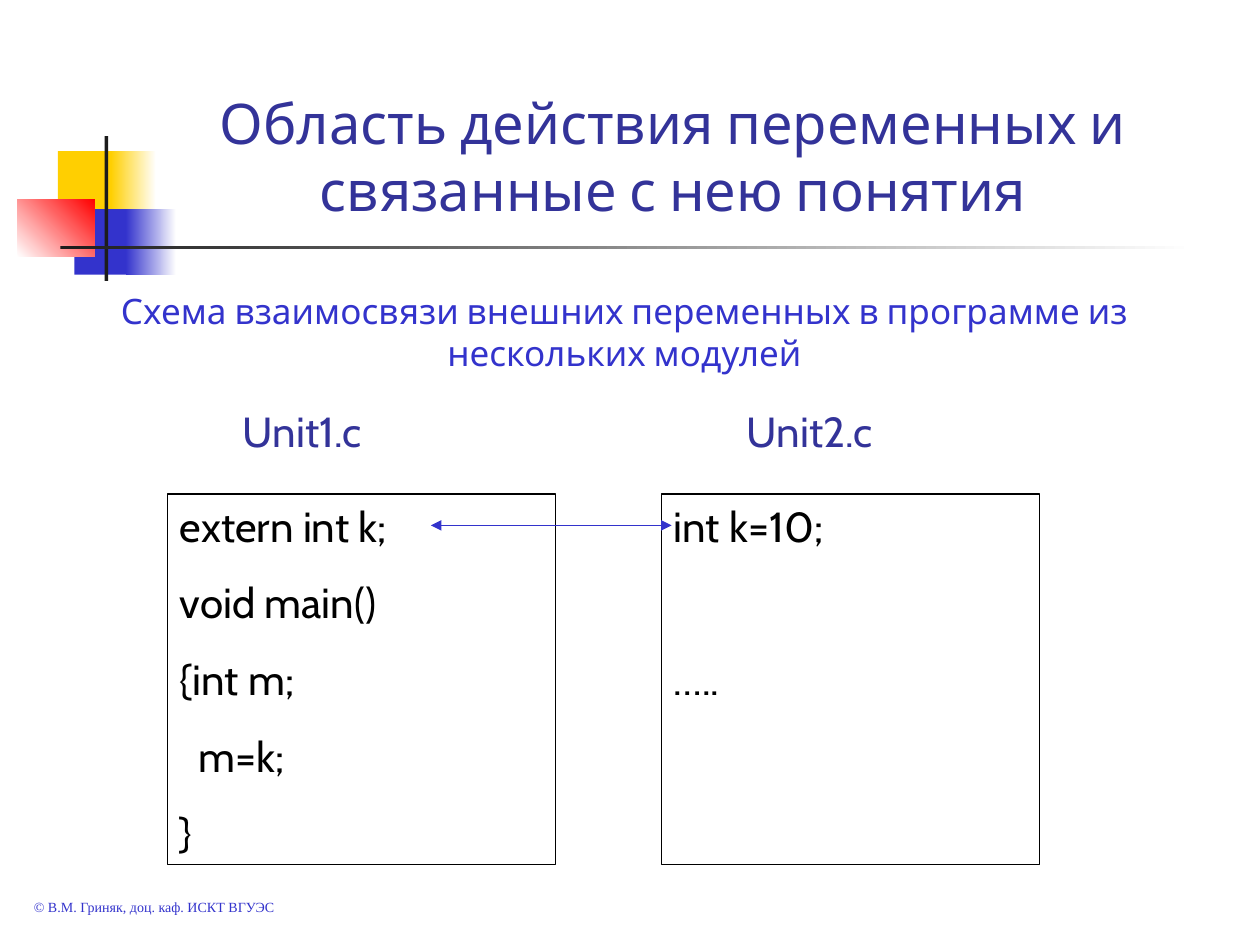
"""Build a slide showing how an external variable links two C modules."""
from dataclasses import dataclass

import pptx
import pptx.dml.color
import pptx.enum.shapes
import pptx.enum.text
import pptx.oxml
import pptx.oxml.ns
import pptx.util
from pptx.util import Inches

RGBColor = pptx.dml.color.RGBColor
PP_ALIGN = pptx.enum.text.PP_ALIGN
MSO_ANCHOR = pptx.enum.text.MSO_ANCHOR
RECTANGLE = pptx.enum.shapes.MSO_SHAPE.RECTANGLE

WHITE = RGBColor(0xFF, 0xFF, 0xFF)
BLACK = RGBColor(0x00, 0x00, 0x00)
YELLOW = RGBColor(0xFF, 0xCF, 0x01)
RED = RGBColor(0xFF, 0x00, 0x00)
BLUE = RGBColor(0x33, 0x33, 0xCC)
INDIGO = RGBColor(0x33, 0x33, 0x99)
CHARCOAL = RGBColor(0x1C, 0x1C, 0x1C)
LINE_WIDTH = pptx.util.Pt(0.74)


@dataclass
class Box:
    left: float
    top: float
    width: float
    height: float

    def emu(self) -> tuple:
        return tuple(Inches(v) for v in (self.left, self.top, self.width, self.height))


@dataclass
class Ornament:
    box: Box
    start: RGBColor
    end: RGBColor | None = None
    angle: float = 0


@dataclass
class Line:
    text: str
    before: float = 15
    indent: float = 0


@dataclass
class Style:
    size: float
    color: RGBColor
    font: str = "Cabin"
    align: PP_ALIGN = PP_ALIGN.LEFT
    anchor: MSO_ANCHOR = MSO_ANCHOR.TOP


@dataclass
class Module:
    name: str
    label_left: float
    box: Box
    code: list[Line]


ORNAMENTS = [
    Ornament(Box(0.46, 1.2, 0.48, 0.52), YELLOW),
    Ornament(Box(0.88, 1.2, 0.36, 0.52), YELLOW, WHITE),
    Ornament(Box(0.59, 1.66, 0.46, 0.52), BLUE),
    Ornament(Box(1, 1.66, 0.4, 0.52), BLUE, WHITE),
    Ornament(Box(0.14, 1.58, 0.61, 0.46), WHITE, RED, 45),
    Ornament(Box(0.83, 1.08, 0.03, 1.15), CHARCOAL),
    Ornament(Box(0.48, 1.95, 9, 0.03), CHARCOAL, WHITE),
]

MODULES = [
    Module("Unit2.c", 5.83, Box(5.25, 3.92, 3, 2.94),
           [Line("int k=10;"), Line("…..", before=59)]),
    Module("Unit1.c", 1.83, Box(1.33, 3.92, 3.08, 2.94),
           [Line("extern int k;"), Line("void main()"), Line("{int m;"),
            Line("m=k;", indent=0.15), Line("}")]),
]

TITLE = Style(32, INDIGO, align=PP_ALIGN.CENTER, anchor=MSO_ANCHOR.BOTTOM)
SUBTITLE = Style(20, BLUE, align=PP_ALIGN.CENTER)
LABEL = Style(24, INDIGO)
CODE = Style(24, BLACK)
FOOTER = Style(8, BLUE, "Times New Roman")


def add_rect(slide, box: Box):
    sp = slide.shapes.add_shape(RECTANGLE, *box.emu())
    sp.shadow.inherit = False
    return sp


def add_ornament(slide, item: Ornament) -> None:
    sp = add_rect(slide, item.box)
    sp.line.fill.background()
    if item.end is None:
        sp.fill.solid()
        sp.fill.fore_color.rgb = item.start
        return
    sp.fill.gradient()
    sp.fill.gradient_angle = item.angle
    for stop, color in zip(sp.fill.gradient_stops, (item.start, item.end)):
        stop.color.rgb = color


def write(sp, lines: list[Line], style: Style) -> None:
    tf = sp.text_frame
    tf.word_wrap = True
    tf.vertical_anchor = style.anchor
    for i, line in enumerate(lines):
        p = tf.add_paragraph() if i else tf.paragraphs[0]
        p.alignment = style.align
        p.space_before = pptx.util.Pt(line.before)
        if line.indent:
            p._p.get_or_add_pPr().set("marL", str(Inches(line.indent)))
        r = p.add_run()
        r.text = line.text
        r.font.size = pptx.util.Pt(style.size)
        r.font.name = style.font
        r.font.color.rgb = style.color


def add_text(slide, box: Box, line: Line, style: Style) -> None:
    write(slide.shapes.add_textbox(*box.emu()), [line], style)


def add_module(slide, module: Module) -> None:
    sp = add_rect(slide, module.box)
    sp.fill.background()
    sp.line.color.rgb = BLACK
    sp.line.width = LINE_WIDTH
    write(sp, module.code, CODE)
    add_text(slide, Box(module.label_left, 3.17, 1.58, 0.5), Line(module.name), LABEL)


def add_double_arrow(slide, left: float, right: float, y: float) -> None:
    cxn = slide.shapes.add_connector(
        pptx.enum.shapes.MSO_CONNECTOR.STRAIGHT,
        Inches(right), Inches(y), Inches(left), Inches(y))
    cxn.line.color.rgb = BLUE
    cxn.line.width = LINE_WIDTH
    ln = cxn.line._get_or_add_ln()
    for tag in ("a:headEnd", "a:tailEnd"):
        end = pptx.oxml.parse_xml(f'<{tag} {pptx.oxml.ns.nsdecls("a")} type="triangle"/>')
        ln.append(end)
    cxn._element.spPr.append(
        pptx.oxml.parse_xml(f'<a:effectLst {pptx.oxml.ns.nsdecls("a")}/>'))


def main() -> None:
    prs = pptx.Presentation()
    prs.slide_width, prs.slide_height = Inches(10), Inches(7.5)
    s = prs.slides.add_slide(prs.slide_layouts[6])
    for item in ORNAMENTS:
        add_ornament(s, item)
    add_text(s, Box(0.17, 7.08, 2.67, 0.24),
             Line("© В.М. Гриняк, доц. каф. ИСКТ ВГУЭС", 5), FOOTER)
    add_text(s, Box(0.33, 2.25, 9.25, 0.77),
             Line("Схема взаимосвязи внешних переменных в программе из "
                  "нескольких модулей", 12.5), SUBTITLE)
    for module in MODULES:
        add_module(s, module)
    add_text(s, Box(1.08, 0.58, 8.52, 1.24),
             Line("Область действия переменных и связанные с нею понятия", 0), TITLE)
    add_double_arrow(s, 3.42, 5.33, 4.17)
    prs.save("out.pptx")


main()
